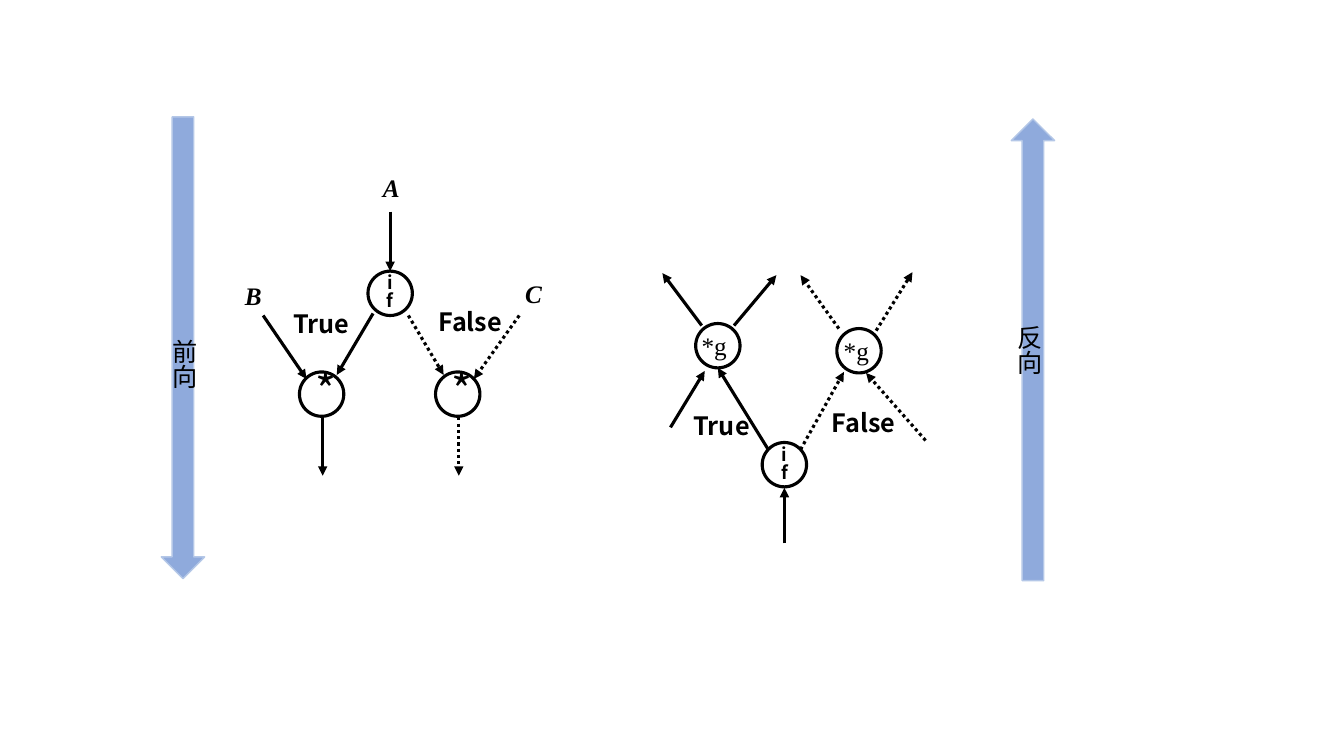
"""Draw the forward and backward graphs of a conditional branch."""
from lxml import etree
from pptx import Presentation
from pptx.dml.color import RGBColor
from pptx.enum import dml, shapes, text
from pptx.oxml import ns
from pptx.util import Inches, Pt

BLACK = RGBColor(0x00, 0x00, 0x00)
WHITE = RGBColor(0xFF, 0xFF, 0xFF)
BLUE = RGBColor(0x8F, 0xAA, 0xDC)
PALE = RGBColor(0xB4, 0xC7, 0xE7)
SANS = "Noto Sans CJK SC"
SERIF = "Times New Roman"

deck = Presentation()
deck.slide_width, deck.slide_height = Inches(13.33), Inches(7.5)
slide = deck.slides.add_slide(deck.slide_layouts[6])
items = slide.shapes


def write(frame, words, look):
    frame.word_wrap = True
    para = frame.paragraphs[0]
    run = para.add_run()
    run.text = words
    for key, value in look.items():
        setattr(run.font, key, value)
    run.font.color.rgb = BLACK
    if look["name"] == SANS:
        para.line_spacing = 0.83
        east = etree.SubElement(run.font._element, ns.qn("a:ea"))
        east.set("typeface", SANS)
    return para


def draw(kind, box, fill, line, width):
    shape = items.add_shape(kind, *map(Inches, box))
    shape.shadow.inherit = False
    shape.fill.solid()
    shape.fill.fore_color.rgb = fill
    shape.line.color.rgb = line
    shape.line.width = Pt(width)
    return shape


plain = {"size": Pt(18), "name": SANS}
bold = {**plain, "bold": True}
serif = {"size": Pt(18), "name": SERIF}
letter = {**serif, "bold": True, "italic": True}
test = {**bold, "size": Pt(13)}
star = {**plain, "size": Pt(32)}

for left, top, turn in [(1.6, 1.16, 0), (10.03, 1.18, 180)]:
    arrow = draw(shapes.MSO_SHAPE.DOWN_ARROW, (left, top, 0.43, 4.58), BLUE, PALE, 1)
    arrow.rotation = turn

nodes = [
    (3.65, 2.69, "if", test),
    (2.97, 3.69, "*", star),
    (4.32, 3.69, "*", star),
    (6.9, 3.21, "", None),
    (7.56, 4.39, "if", test),
    (8.3, 3.26, "", None),
]
for left, top, words, look in nodes:
    node = draw(shapes.MSO_SHAPE.OVAL, (left, top, 0.44, 0.44), WHITE, BLACK, 2.25)
    if words:
        node.text_frame.vertical_anchor = text.MSO_ANCHOR.MIDDLE
        write(node.text_frame, words, look).alignment = text.PP_ALIGN.CENTER

solid = [
    (3.87, 2.1, 3.87, 2.69),
    (3.7, 3.11, 3.34, 3.72),
    (2.61, 3.13, 3.04, 3.76),
    (3.2, 4.14, 3.2, 4.72),
    (6.65, 4.24, 6.99, 3.68),
    (6.96, 3.23, 6.57, 2.71),
    (7.28, 3.23, 7.7, 2.73),
    (7.78, 5.39, 7.78, 4.84),
    (7.62, 4.46, 7.12, 3.65),
]
dotted = [
    (4.05, 3.13, 4.4, 3.72),
    (5.15, 3.13, 4.7, 3.76),
    (4.55, 4.14, 4.55, 4.72),
    (7.94, 4.46, 8.37, 3.69),
    (9.18, 4.37, 8.59, 3.7),
    (8.32, 3.26, 7.94, 2.73),
    (8.69, 3.28, 9.05, 2.7),
]
for ends in solid + dotted:
    edge = items.add_connector(shapes.MSO_CONNECTOR.STRAIGHT, *map(Inches, ends))
    edge.line.color.rgb = BLACK
    edge.line.width = Pt(2.25)
    if ends in dotted:
        edge.line.dash_style = dml.MSO_LINE.ROUND_DOT
    tip = etree.SubElement(edge.line._get_or_add_ln(), ns.qn("a:tailEnd"))
    tip.set("type", "triangle")
    etree.SubElement(edge._element.spPr, ns.qn("a:effectLst"))

labels = [
    (3.7, 1.66, 0.35, 0.4, "A", letter),
    (2.33, 2.73, 0.35, 0.4, "B", letter),
    (5.11, 2.71, 0.35, 0.4, "C", letter),
    (2.81, 3.06, 0.8, 0.4, "True", bold),
    (4.25, 3.04, 0.98, 0.4, "False", bold),
    (6.78, 4.07, 0.8, 0.4, "True", bold),
    (8.15, 4.04, 1.09, 0.4, "False", bold),
    (6.86, 3.23, 0.84, 0.4, "*g", serif),
    (8.27, 3.28, 0.84, 0.4, "*g", serif),
    (1.61, 3.34, 0.46, 0.71, "前向", plain),
    (9.99, 3.2, 0.46, 0.71, "反向", plain),
]
for *box, words, look in labels:
    label = items.add_textbox(*map(Inches, box))
    write(label.text_frame, words, look)

deck.save("out.pptx")
